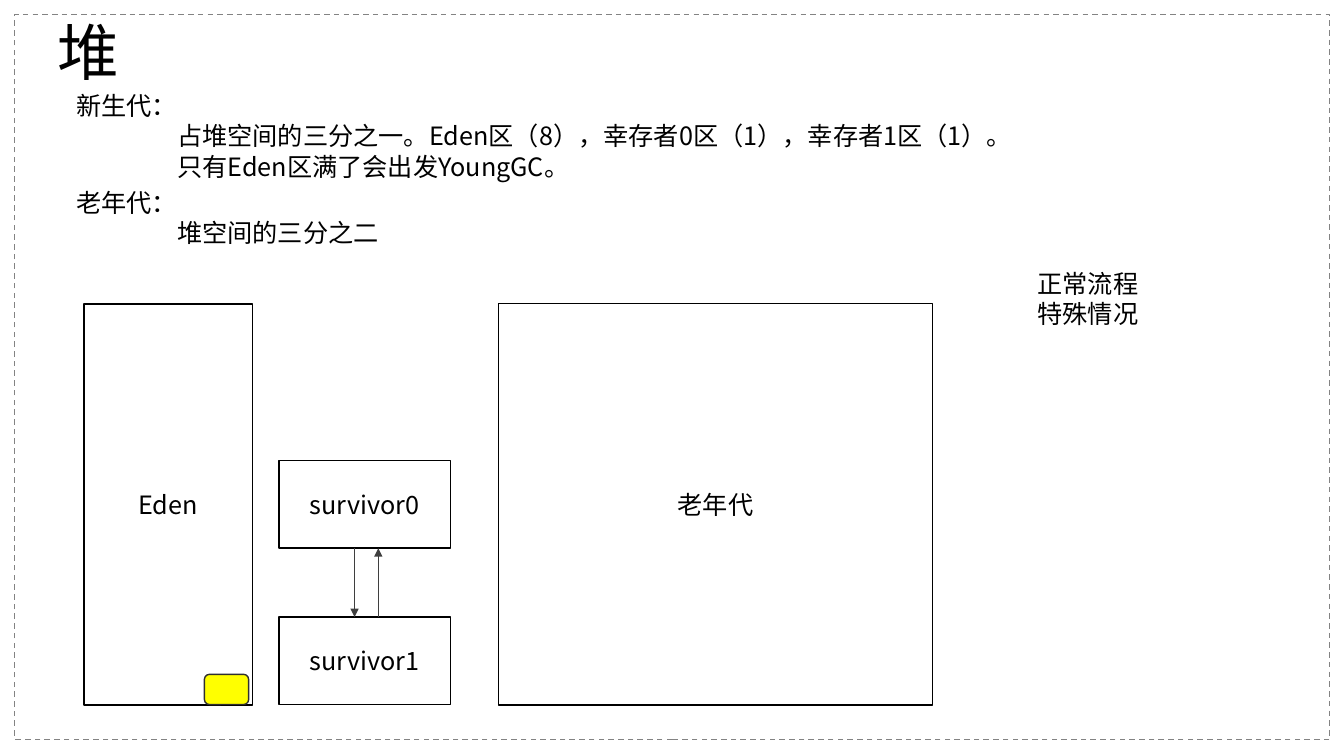
from lxml import etree
from pptx import Presentation
from pptx.dml.color import RGBColor
from pptx.enum.dml import MSO_LINE
from pptx.enum.shapes import MSO_CONNECTOR, MSO_SHAPE
from pptx.enum.text import MSO_ANCHOR, PP_ALIGN
from pptx.oxml.ns import qn
from pptx.util import Pt

RECTANGLE = MSO_SHAPE.RECTANGLE
ROUNDED = MSO_SHAPE.ROUNDED_RECTANGLE
STRAIGHT = MSO_CONNECTOR.STRAIGHT
DASH = MSO_LINE.DASH
TOP, MIDDLE = MSO_ANCHOR.TOP, MSO_ANCHOR.MIDDLE
LEFT, CENTER = PP_ALIGN.LEFT, PP_ALIGN.CENTER

FONT = "Noto Sans CJK SC"
TAB_STOP = Pt(72)
COLORS = {
    "text": "000000",
    "region": "FFFFFF",
    "object": "FFFF00",
    "object_line": "2F2F2F",
    "arrow": "3F3F3F",
    "frame": "838383",
}
SURVIVOR_LEFT, SURVIVOR_WIDTH, SURVIVOR_HEIGHT = 199.3, 122.4, 62.6
SURVIVOR_TOPS = (329, 440.7)


def color(name):
    """Return the named colour."""
    return RGBColor.from_string(COLORS[name])


def write(text_frame, text, size=18, align=LEFT, anchor=TOP):
    """Fill a text frame and format its runs."""
    text_frame.text = text
    text_frame.word_wrap = True
    text_frame.vertical_anchor = anchor
    for paragraph in text_frame.paragraphs:
        paragraph.alignment = align
        for run in paragraph.runs:
            run.font.size = Pt(size)
            run.font.name = FONT
            run.font.color.rgb = color("text")
            properties = run.font._element
            etree.SubElement(properties, qn("a:ea")).set("typeface", FONT)


def add_title(slide, text):
    """Place and format the title placeholder."""
    title = slide.shapes.title
    title.left, title.top, title.width, title.height = Pt(33.8), Pt(12.2), Pt(828), Pt(104.4)
    write(title.text_frame, text, size=44)
    title.text_frame.paragraphs[0].line_spacing = 0.9


def add_tab_stop(paragraph):
    """Give a paragraph its left tab stop."""
    stops = etree.SubElement(paragraph._p.get_or_add_pPr(), qn("a:tabLst"))
    stop = etree.SubElement(stops, qn("a:tab"))
    stop.set("pos", str(TAB_STOP))
    stop.set("algn", "l")


def add_note(slide, left, top, width, height, *lines):
    """Add a text box with one paragraph per line."""
    box = slide.shapes.add_textbox(Pt(left), Pt(top), Pt(width), Pt(height))
    write(box.text_frame, "\n".join(lines))
    for paragraph in box.text_frame.paragraphs:
        if paragraph.text.startswith("\t"):
            add_tab_stop(paragraph)


def add_box(slide, left, top, width, height, fill=None, line="text", kind=RECTANGLE):
    """Add an outlined shape, filled when a fill is named."""
    shape = slide.shapes.add_shape(kind, Pt(left), Pt(top), Pt(width), Pt(height))
    shape.shadow.inherit = False
    if fill:
        shape.fill.solid()
        shape.fill.fore_color.rgb = color(fill)
    else:
        shape.fill.background()
    shape.line.color.rgb = color(line)
    shape.line.width = Pt(1)
    return shape


def add_region(slide, text, left, top, width, height):
    """Add a labelled memory region."""
    region = add_box(slide, left, top, width, height, fill="region")
    write(region.text_frame, text, align=CENTER, anchor=MIDDLE)


def add_arrow(slide, x, start, end):
    """Add a vertical arrow."""
    arrow = slide.shapes.add_connector(STRAIGHT, Pt(x), Pt(start), Pt(x), Pt(end))
    arrow.line.color.rgb = color("arrow")
    arrow.line.width = Pt(0.5)
    etree.SubElement(arrow.line._get_or_add_ln(), qn("a:tailEnd")).set("type", "triangle")
    etree.SubElement(arrow._element.spPr, qn("a:effectLst"))


def main():
    """Build the heap slide."""
    presentation = Presentation()
    presentation.slide_width, presentation.slide_height = Pt(960), Pt(540)
    slide = presentation.slides.add_slide(presentation.slide_layouts[5])

    frame = add_box(slide, 10.5, 10.5, 939.4, 517.6, line="frame")
    frame.line.dash_style = DASH
    add_title(slide, "堆")
    add_note(slide, 47.5, 61, 833, 94.3, "新生代：",
             "\t占堆空间的三分之一。Eden区（8），幸存者0区（1），幸存者1区（1）。",
             "\t只有Eden区满了会出发YoungGC。")
    add_note(slide, 47.5, 130, 833, 51.1, "老年代：", "\t堆空间的三分之二")
    add_note(slide, 734, 187.9, 193.7, 51.1, "正常流程", "特殊情况")

    add_region(slide, "Eden", 60, 217.1, 120.2, 286.6)
    for number, top in enumerate(SURVIVOR_TOPS):
        add_region(slide, f"survivor{number}", SURVIVOR_LEFT, top, SURVIVOR_WIDTH, SURVIVOR_HEIGHT)
    add_region(slide, "老年代", 356, 216.9, 310.2, 286.6)
    add_box(slide, 146, 481.7, 31.6, 21.6, fill="object", line="object_line", kind=ROUNDED)

    upper, lower = SURVIVOR_TOPS[0] + SURVIVOR_HEIGHT, SURVIVOR_TOPS[1]
    add_arrow(slide, 253.3, upper, lower)
    add_arrow(slide, 270.2, lower, upper)
    presentation.save("out.pptx")


if __name__ == "__main__":
    main()
